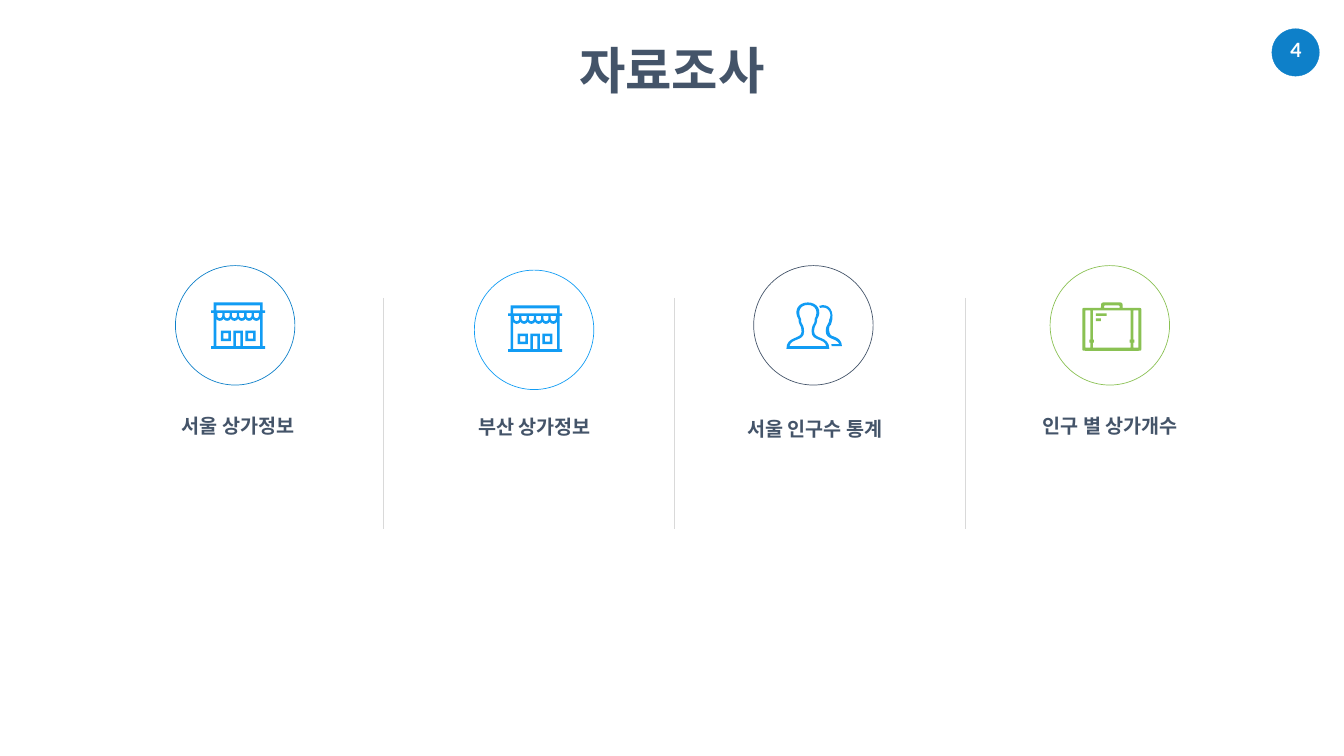
import math
from dataclasses import dataclass

from lxml import etree
from pptx import Presentation
from pptx.dml.color import RGBColor
from pptx.enum import shapes, text
from pptx.oxml import ns
from pptx.util import Inches, Pt


@dataclass(frozen=True)
class Theme:
    font: str = "Lato"
    ink: str = "445469"
    blue: str = "0E80C9"
    sky: str = "119CF4"
    green: str = "8AC153"
    rule: str = "D9D9D9"
    white: str = "FFFFFF"
    title_size: int = 72
    label_size: int = 28


THEME = Theme()
TITLE = "자료조사"
PAGE_NUMBER = "4"

# Topics: label, label centre, circle corner, ring colour, icon, icon corner, icon colour
TOPICS = [
    ("서울 상가정보", (4.72, 8.44), (3.48, 5.27), THEME.blue, "store", (4.19, 6), THEME.sky),
    ("부산 상가정보", (10.6, 8.47), (9.41, 5.36), THEME.sky, "store", (10.08, 6.06), THEME.sky),
    ("서울 인구수 통계", (16.16, 8.51), (14.95, 5.27), THEME.ink, "people", (15.6, 6), THEME.sky),
    ("인구 별 상가개수", (22.02, 8.44), (20.83, 5.27), THEME.green, "suitcase", (21.47, 6),
     THEME.green),
]
LABEL_WIDTH, LABEL_HEIGHT = 3.17, 0.57
CIRCLE = 2.37
DIVIDER_LEFT, DIVIDER_STEP, DIVIDER_TOP, DIVIDER_BOTTOM = 7.6, 5.77, 5.91, 10.49
FINE = 100      # drawing units per hundredth of an inch
CURVE_STEPS = 8


# Icon outlines in hundredths of an inch: pairs are corners, sixes are Bezier curves
def trace(outline):
    """Turn corners and curves into a run of points."""
    points = []
    for step in outline:
        if len(step) == 2:
            points.append(step)
            continue
        corners = [points[-1], step[:2], step[2:4], step[4:]]
        for i in range(1, CURVE_STEPS + 1):
            t = i / CURVE_STEPS
            weights = [math.comb(3, k) * t**k * (1 - t)**(3 - k) for k in range(4)]
            points.append(tuple(sum(w * c[axis] for w, c in zip(weights, corners))
                                for axis in (0, 1)))
    return points


def mirrored(half, width):
    """Close a left half with its reflection."""
    left = trace(half)
    return left + [(width - x, y) for x, y in reversed(left)]


def box(left, top, right, bottom):
    return [(left, top), (right, top), (right, bottom), (left, bottom)]


def arch(left, top, right, bottom, radius):
    return [(left, bottom), (left, top + radius), (left, top, left, top, left + radius, top),
            (right - radius, top), (right, top, right, top, right, top + radius), (right, bottom)]


def store():
    scallops = [12 + 14.5 * i for i in range(6)]
    walls = mirrored([(5, 0), (5, 16), (0, 16), (0, 21), (5, 21), (5, 87), (0, 87), (0, 92)], 107)
    awning = [[(x, 21), (x, 26), (x, 33, x + 10, 33, x + 10, 26), (x + 10, 21)]
              for x in scallops]
    room = [(97, 87), (63, 87), (63, 56), (44, 56), (44, 87), (10, 87), (10, 32)]
    room += [(x, 38, x + 10, 38, x + 12.5, 32) for x in scallops]
    windows = [box(x + d, 56 + d, x + 20 - d, 77 - d) for x in (19, 68) for d in (0, 5)]
    return [walls, box(10, 6, 97, 16), *awning, room, box(49, 61, 58, 87), *windows]


def people():
    outer = [(43, 0), (22, 0, 14, 18, 24, 33), (24, 46, 30, 44, 30, 58),
             (30, 74, 0, 66, 0, 92)]
    inner = [(43, 5), (27, 5, 21, 18, 29, 33), (28, 44, 35, 42, 35, 58),
             (35, 78, 9, 70, 6, 87)]
    behind = [(65, 7), (82, 0, 99, 16, 88, 45), (83, 45, 83, 66, 92, 67),
              (98, 69, 110, 73, 110, 87), (90, 87), (89, 83), (105, 83),
              (100, 70, 78, 75, 78, 57), (78, 45, 85, 42, 85, 34), (92, 22, 82, 6, 67, 11)]
    return [mirrored(outer, 85), mirrored(inner, 85), behind]


def suitcase():
    body = arch(0, 11, 117, 53, 6) + arch(117, 96, 0, 53, -6)
    handles = [arch(37, 0, 80, 11, 11), arch(43, 6, 74, 11, 5)]
    panels = [box(left, 16, right, 90) for left, right in ((6, 16), (21, 96), (101, 111))]
    buckles = [box(x, 74, x + 2, 80) for x in (14, 21, 94, 101)]
    marks = [box(27, y, right, y + 5) for y, right in ((22, 48), (32, 37))]
    return [body, *handles, *panels, *buckles, *marks]


ICONS = {"store": store(), "people": people(), "suitcase": suitcase()}


def rgb(value):
    return RGBColor.from_string(value)


def add_icon(slide, outlines, corner, color):
    first, *others = [[(x * FINE, y * FINE) for x, y in trace(outline)] for outline in outlines]
    builder = slide.shapes.build_freeform(*first[0], scale=Inches(0.01) / FINE)
    builder.add_line_segments(first[1:], close=True)
    for points in others:
        builder.move_to(*points[0])
        builder.add_line_segments(points[1:], close=True)
    icon = builder.convert_to_shape(*map(Inches, corner))
    icon.shadow.inherit = False
    icon.fill.solid()
    icon.fill.fore_color.rgb = rgb(color)
    icon.line.fill.background()


def add_circle(slide, corner, size, color, width, filled=False):
    circle = slide.shapes.add_shape(shapes.MSO_SHAPE.OVAL, *map(Inches, (*corner, size, size)))
    circle.shadow.inherit = False
    if filled:
        circle.fill.solid()
        circle.fill.fore_color.rgb = rgb(color)
    else:
        circle.fill.background()
    circle.line.color.rgb = rgb(color)
    circle.line.width = Pt(width)


def write(holder, words, at, size, color, anchor, insets=(0, 0)):
    holder.left, holder.top, holder.width, holder.height = map(Inches, at)
    frame = holder.text_frame
    frame.text = words
    frame.word_wrap = False
    frame.auto_size = text.MSO_AUTO_SIZE.NONE
    frame.vertical_anchor = anchor
    frame.margin_left = frame.margin_right = Inches(insets[0])
    frame.margin_top = frame.margin_bottom = Inches(insets[1])
    line = frame.paragraphs[0]
    line.alignment = text.PP_ALIGN.CENTER
    line.line_spacing = 1.0
    font = line.runs[0].font
    font.name, font.size, font.bold = THEME.font, Pt(size), True
    font.color.rgb = rgb(color)


def main():
    deck = Presentation()
    deck.slide_width, deck.slide_height = Inches(26.66), Inches(15)
    slide = deck.slides.add_slide(deck.slide_layouts[5])
    top, middle = text.MSO_ANCHOR.TOP, text.MSO_ANCHOR.MIDDLE

    # Title and page number
    write(slide.shapes.title, TITLE, (11.21, 0.72, 4.24, 1.31), THEME.title_size,
          THEME.ink, top, (0.1, 0.05))
    add_circle(slide, (25.23, 0.57), 0.94, THEME.blue, 0.5, filled=True)
    write(slide.shapes.add_textbox(0, 0, 0, 0), PAGE_NUMBER, (25.27, 0.66, 0.88, 0.67),
          THEME.label_size, THEME.white, top, (0.2, 0.1))

    # Dividers between the topics
    for i in range(len(TOPICS) - 1):
        x = Inches(DIVIDER_LEFT + i * DIVIDER_STEP)
        divider = slide.shapes.add_connector(shapes.MSO_CONNECTOR.STRAIGHT, x,
                                             Inches(DIVIDER_TOP), x, Inches(DIVIDER_BOTTOM))
        divider.line.color.rgb = rgb(THEME.rule)
        divider.line.width = Pt(1)
        etree.SubElement(divider.element.spPr, ns.qn("a:effectLst"))

    # Topics
    for label, (x, y), circle_at, ring, icon, icon_at, icon_color in TOPICS:
        add_circle(slide, circle_at, CIRCLE, ring, 1)
        add_icon(slide, ICONS[icon], icon_at, icon_color)
        label_at = (x - LABEL_WIDTH / 2, y - LABEL_HEIGHT / 2, LABEL_WIDTH, LABEL_HEIGHT)
        write(slide.shapes.add_textbox(0, 0, 0, 0), label, label_at, THEME.label_size,
              THEME.ink, middle)

    deck.save("out.pptx")


if __name__ == "__main__":
    main()
